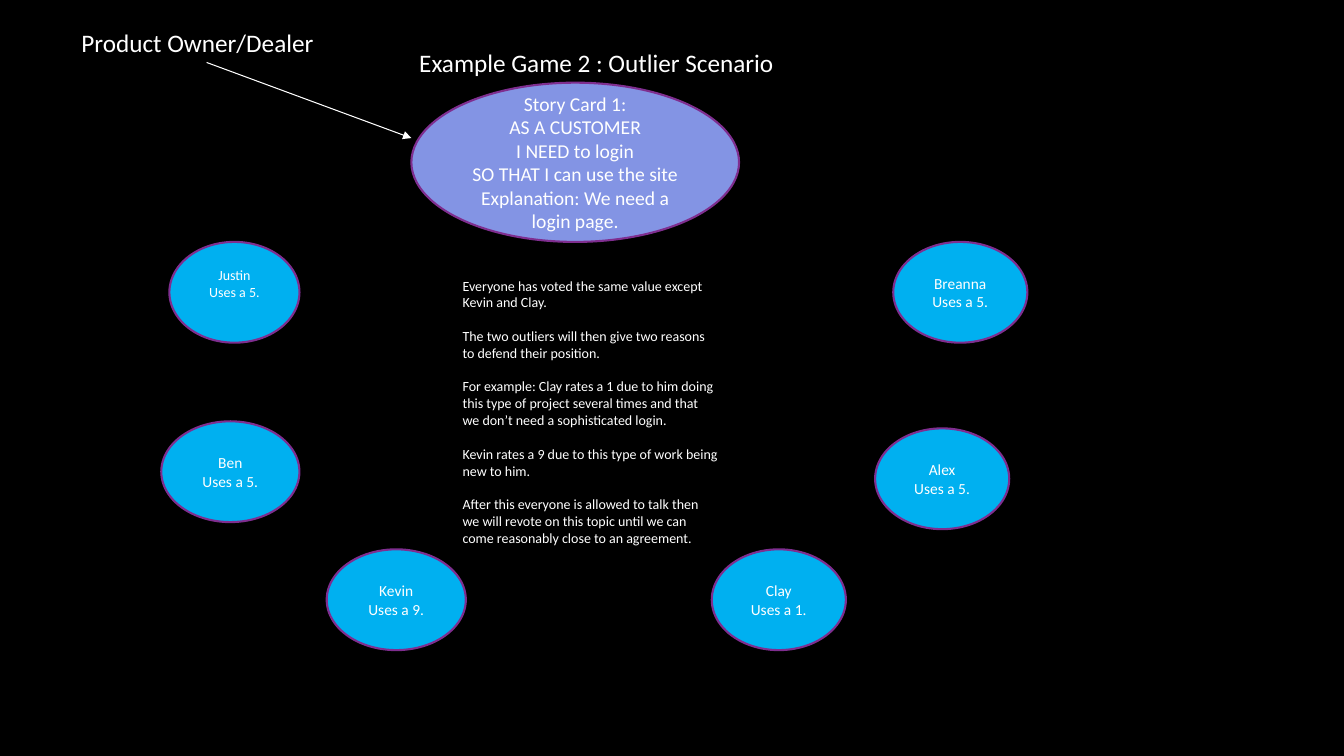
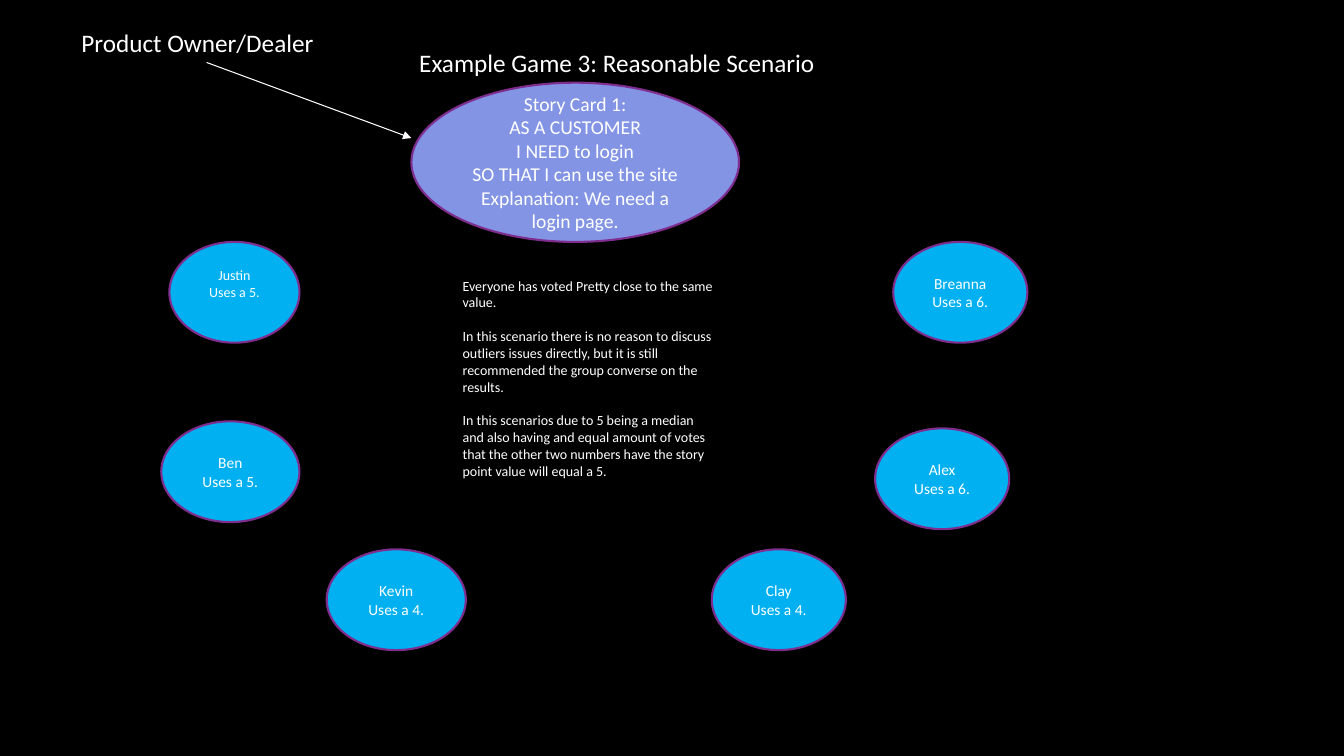
from pptx import Presentation
from pptx.dml.color import RGBColor
from pptx.enum.shapes import MSO_CONNECTOR, MSO_SHAPE
from pptx.enum.text import MSO_ANCHOR, PP_ALIGN
from pptx.oxml.ns import qn
from pptx.util import Inches, Pt
from lxml.etree import SubElement

BLACK, WHITE = "000000", "FFFFFF"
PURPLE, LILAC, BLUE = "7F2E8F", "8394E4", "00B0F0"
FONT = "Calibri"


def paint(fill, color):
    fill.solid()
    fill.fore_color.rgb = RGBColor.from_string(color)


def write(box, lines, size=11, align=PP_ALIGN.LEFT, anchor=MSO_ANCHOR.TOP, wrap=True, gap=0):
    frame = box.text_frame
    frame.word_wrap = wrap
    frame.vertical_anchor = anchor
    for index, line in enumerate(lines):
        para = frame.add_paragraph() if index else frame.paragraphs[0]
        para.alignment = align
        para.space_before = Pt(gap if index else 0)
        span = para.add_run()
        span.text = line
        span.font.name = FONT
        span.font.size = Pt(size)
        paint(span.font.fill, WHITE)


deck = Presentation()
deck.slide_width = Inches(13.33)
deck.slide_height = Inches(7.5)
paint(deck.slide_master.background.fill, BLACK)

story = [
    "Story Card 1:",
    "AS A CUSTOMER",
    "I NEED to login",
    "SO THAT I can use the site",
    "Explanation: We need a login page.",
]
seats = {
    "Justin": (1.68, 2.4, 1.29),
    "Ben": (1.6, 4.18, 1.37),
    "Kevin": (3.24, 5.45, 1.38),
    "Alex": (8.68, 4.25, 1.33),
    "Clay": (7.06, 5.45, 1.33),
    "Breanna": (8.86, 2.4, 1.33),
}
games = [
    {
        "title": "Example Game 2 : Outlier Scenario",
        "votes": [5, 5, 9, 5, 1, 5],
        "notes": [
            "Everyone has voted the same value except Kevin and Clay.",
            "The two outliers will then give two reasons to defend their position.",
            "For example: Clay rates a 1 due to him doing this type of project several "
            "times and that we don’t need a sophisticated login.",
            "Kevin rates a 9 due to this type of work being new to him.",
            "After this everyone is allowed to talk then we will revote on this topic "
            "until we can come reasonably close to an agreement.",
        ],
        "notes_height": 3.13,
    },
    {
        "title": "Example Game 3: Reasonable Scenario",
        "votes": [5, 5, 4, 6, 4, 6],
        "notes": [
            "Everyone has voted Pretty close to the same value.",
            "In this scenario there is no reason to discuss outliers issues directly, "
            "but it is still recommended the group converse on the results.",
            "In this scenarios due to 5 being a median and also having and equal amount "
            "of votes that the other two numbers have the story point value will equal a 5.",
        ],
        "notes_height": 2.29,
    },
]

for game in games:
    page = deck.slides.add_slide(deck.slide_layouts[6])

    title = page.shapes.add_textbox(Inches(4.06), Inches(0.42), Inches(4.17), Inches(0.4))
    write(title, [game["title"]], size=18, wrap=False)
    owner = page.shapes.add_textbox(Inches(0.71), Inches(0.22), Inches(2.53), Inches(0.4))
    write(owner, ["Product Owner/Dealer"], size=18, wrap=False)

    ovals = [(4.08, 0.82, 3.25, 1.58, LILAC, story, 14)]
    for (name, (left, top, width)), vote in zip(seats.items(), game["votes"]):
        size = 10 if name == "Justin" else 11
        ovals.append((left, top, width, 1, BLUE, [name, f"Uses a {vote}."], size))

    for left, top, width, height, color, lines, size in ovals:
        oval = page.shapes.add_shape(
            MSO_SHAPE.OVAL, Inches(left), Inches(top), Inches(width), Inches(height))
        oval.shadow.inherit = False
        paint(oval.fill, color)
        paint(oval.line.fill, PURPLE)
        oval.line.width = Pt(1.5)
        write(oval, lines, size=size, align=PP_ALIGN.CENTER, anchor=MSO_ANCHOR.MIDDLE)
        if lines[0] == "Justin":
            oval.text_frame.margin_bottom = Inches(0.22)

    arrow = page.shapes.add_connector(
        MSO_CONNECTOR.STRAIGHT, Inches(2.05), Inches(0.62), Inches(4.08), Inches(1.37))
    paint(arrow.line.fill, WHITE)
    arrow.line.width = Pt(0.75)
    SubElement(arrow.line._get_or_add_ln(), qn("a:tailEnd"), type="triangle")
    SubElement(arrow._element.spPr, qn("a:effectLst"))

    notes = page.shapes.add_textbox(
        Inches(4.49), Inches(2.7), Inches(2.73), Inches(game["notes_height"]))
    write(notes, game["notes"], size=10, gap=12)

deck.save("out.pptx")
